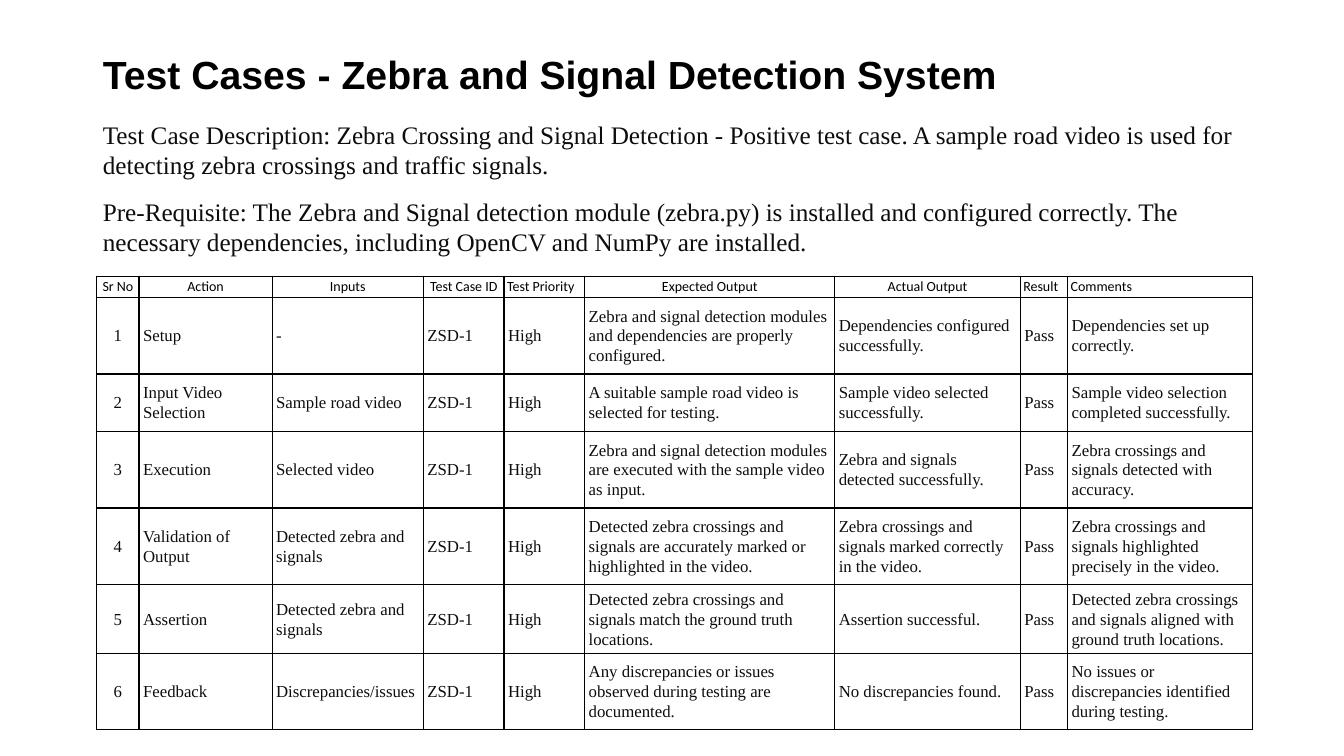
from dataclasses import dataclass
from typing import Optional

from lxml.etree import SubElement
from pptx import Presentation
from pptx.dml.color import RGBColor
from pptx.enum.text import MSO_ANCHOR as Anchor, MSO_AUTO_SIZE as AutoSize, PP_ALIGN as Align
from pptx.oxml.ns import qn
from pptx.util import Inches, Pt


@dataclass(frozen=True)
class Theme:
    black: str = "000000"
    ink: str = "0D0D0D"
    title_font: str = "Arial"
    header_font: str = "Calibri"
    text_font: str = "Times New Roman"
    title_size: int = 28
    body_size: int = 18
    header_size: int = 10
    cell_size: int = 12


@dataclass(frozen=True)
class Column:
    heading: str
    width: float
    heading_align: Align = Align.CENTER
    align: Align = Align.LEFT


@dataclass(frozen=True)
class TestCase:
    height: float
    action: str
    inputs: str
    expected: str
    actual: str
    comments: str
    case_id: str = "ZSD-1"
    priority: str = "High"
    result: str = "Pass"

    def values(self, number: int) -> list[str]:
        return [str(number), self.action, self.inputs, self.case_id, self.priority,
                self.expected, self.actual, self.result, self.comments]


THEME = Theme()
HEADER_HEIGHT = 0.21
TITLE = "Test Cases - Zebra and Signal Detection System"
DESCRIPTION = [
    "Test Case Description: Zebra Crossing and Signal Detection - Positive test case. "
    "A sample road video is used for detecting zebra crossings and traffic signals.",
    "Pre-Requisite: The Zebra and Signal detection module (zebra.py) is installed and "
    "configured correctly. The necessary dependencies, including OpenCV and NumPy are installed.",
]
COLUMNS = [
    Column("Sr No", 0.42, align=Align.CENTER),
    Column("Action", 1.32),
    Column("Inputs", 1.5),
    Column("Test Case ID", 0.8),
    Column("Test Priority", 0.8, Align.LEFT),
    Column("Expected Output", 2.48),
    Column("Actual Output", 1.84),
    Column("Result", 0.47, Align.LEFT),
    Column("Comments", 1.83, Align.LEFT),
]
TEST_CASES = [
    TestCase(0.76, "Setup", "-",
             "Zebra and signal detection modules and dependencies are properly configured.",
             "Dependencies configured successfully.",
             "Dependencies set up correctly."),
    TestCase(0.57, "Input Video Selection", "Sample road video",
             "A suitable sample road video is selected for testing.",
             "Sample video selected successfully.",
             "Sample video selection completed successfully."),
    TestCase(0.76, "Execution", "Selected video",
             "Zebra and signal detection modules are executed with the sample video as input.",
             "Zebra and signals detected successfully.",
             "Zebra crossings and signals detected with accuracy."),
    TestCase(0.76, "Validation of Output", "Detected zebra and signals",
             "Detected zebra crossings and signals are accurately marked or highlighted in the video.",
             "Zebra crossings and signals marked correctly in the video.",
             "Zebra crossings and signals highlighted precisely in the video."),
    TestCase(0.68, "Assertion", "Detected zebra and signals",
             "Detected zebra crossings and signals match the ground truth locations.",
             "Assertion successful.",
             "Detected zebra crossings and signals aligned with ground truth locations."),
    TestCase(0.76, "Feedback", "Discrepancies/issues",
             "Any discrepancies or issues observed during testing are documented.",
             "No discrepancies found.",
             "No issues or discrepancies identified during testing."),
]


def write_text(paragraph, text: str, *, font: str, size: float, color: str = THEME.ink,
               bold: bool = False, align: Align = Align.LEFT, before: float = 0,
               after: float = 0, spacing: Optional[float] = None) -> None:
    paragraph.alignment = align
    paragraph.space_before, paragraph.space_after = Pt(before), Pt(after)
    paragraph.line_spacing = spacing
    run = paragraph.add_run()
    run.text = text
    run.font.name, run.font.size, run.font.bold = font, Pt(size), bold
    run.font.color.rgb = RGBColor.from_string(color)


def place(shape, left: float, top: float, width: float, height: float, anchor: Anchor):
    shape.left, shape.top = Inches(left), Inches(top)
    shape.width, shape.height = Inches(width), Inches(height)
    frame = shape.text_frame
    frame.word_wrap, frame.auto_size, frame.vertical_anchor = True, AutoSize.NONE, anchor
    return frame


def remove_bullet(paragraph) -> None:
    properties = paragraph._p.get_or_add_pPr()
    properties.set("marL", "0")
    properties.set("indent", "0")
    SubElement(properties, qn("a:buNone"))


def format_cell(cell, side_margin: float) -> None:
    cell.vertical_anchor = Anchor.MIDDLE
    cell.margin_left = cell.margin_right = Inches(side_margin)
    cell.margin_top = cell.margin_bottom = 0
    properties = cell._tc.get_or_add_tcPr()
    for edge in ("a:lnL", "a:lnR", "a:lnT", "a:lnB"):
        line = SubElement(properties, qn(edge), w=str(Pt(1)))
        SubElement(SubElement(line, qn("a:solidFill")), qn("a:srgbClr"), val=THEME.black)
    cell.fill.background()


def add_test_table(slide, left: float, top: float) -> None:
    heights = [HEADER_HEIGHT] + [case.height for case in TEST_CASES]
    table = slide.shapes.add_table(
        len(heights), len(COLUMNS), Inches(left), Inches(top),
        Inches(sum(column.width for column in COLUMNS)), Inches(sum(heights))).table
    table.first_row = table.horz_banding = False
    for row, height in zip(table.rows, heights):
        row.height = Inches(height)

    for index, column in enumerate(COLUMNS):
        table.columns[index].width = Inches(column.width)
        # Heading
        heading = table.cell(0, index)
        format_cell(heading, 0.03)
        write_text(heading.text_frame.paragraphs[0], column.heading, font=THEME.header_font,
                   size=THEME.header_size, color=THEME.black, align=column.heading_align, after=8)
        # Test cases
        for number, case in enumerate(TEST_CASES, start=1):
            cell = table.cell(number, index)
            format_cell(cell, 0.04)
            write_text(cell.text_frame.paragraphs[0], case.values(number)[index],
                       font=THEME.text_font, size=THEME.cell_size, align=column.align,
                       after=8, spacing=1.07)


def main() -> None:
    presentation = Presentation()
    presentation.slide_width, presentation.slide_height = Inches(13.33), Inches(7.5)
    slide = presentation.slides.add_slide(presentation.slide_layouts[1])
    title, body = slide.placeholders

    # Title
    frame = place(title, 0.92, 0.4, 11.5, 0.73, Anchor.MIDDLE)
    write_text(frame.paragraphs[0], TITLE, font=THEME.title_font, size=THEME.title_size,
               color=THEME.black, bold=True, spacing=0.9)

    # Description and prerequisite
    frame = place(body, 0.92, 1.13, 11.5, 5.97, Anchor.TOP)
    for index, text in enumerate(DESCRIPTION):
        paragraph = frame.add_paragraph() if index else frame.paragraphs[0]
        remove_bullet(paragraph)
        write_text(paragraph, text, font=THEME.text_font, size=THEME.body_size,
                   before=6 if index else 0, after=6)

    # Test case table
    add_test_table(slide, 0.96, 2.74)
    presentation.save("out.pptx")


if __name__ == "__main__":
    main()
